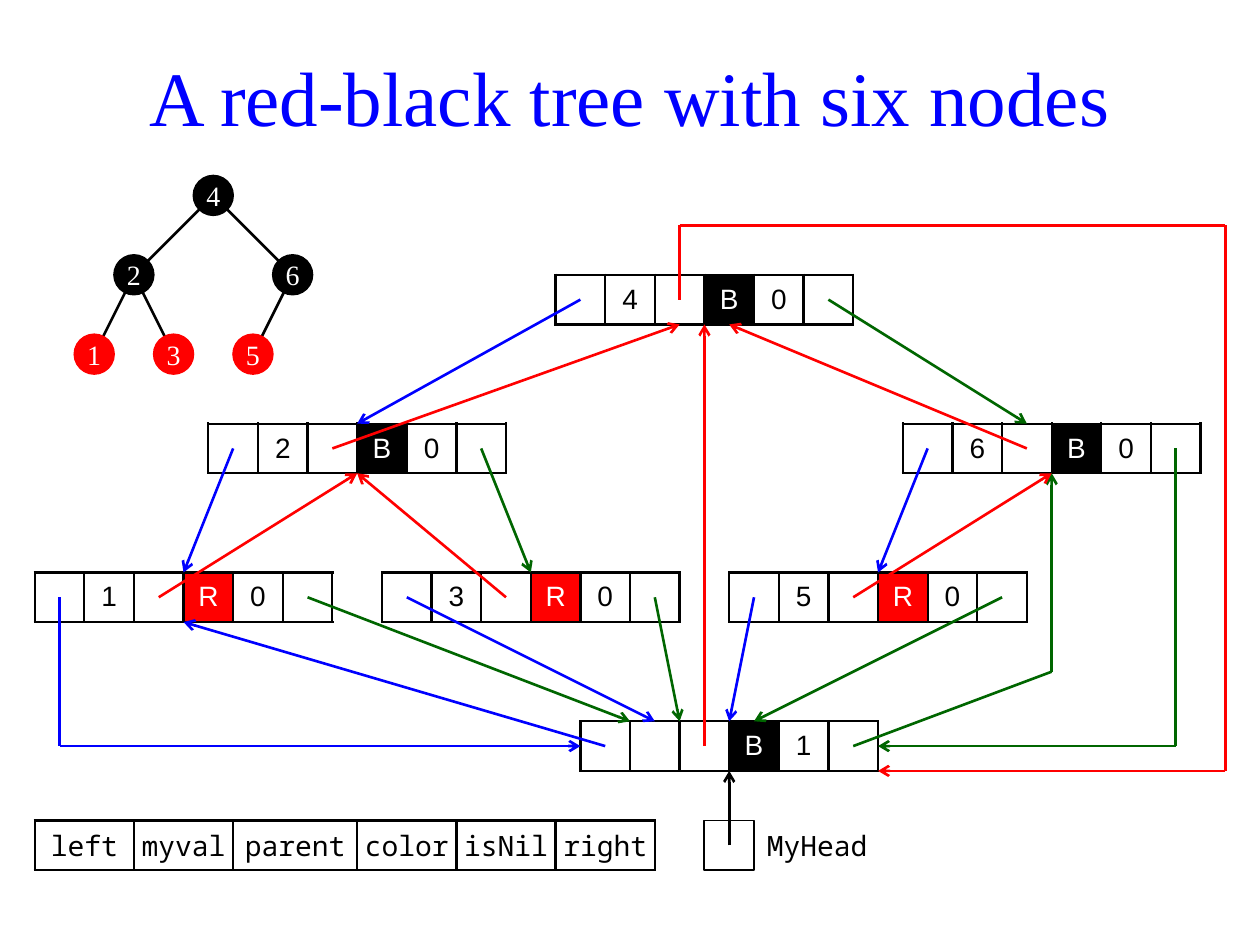
import dataclasses
import itertools

import pptx
import pptx.dml.color
import pptx.enum.shapes
import pptx.enum.text
import pptx.oxml
import pptx.oxml.ns
import pptx.util

SHAPE = pptx.enum.shapes.MSO_SHAPE
ALIGN = pptx.enum.text.PP_ALIGN
MIDDLE = pptx.enum.text.MSO_ANCHOR.MIDDLE


@dataclasses.dataclass(frozen=True)
class Theme:
    """Colours, fonts and sizes of the slide."""
    black: str = "000000"
    white: str = "FFFFFF"
    red: str = "FF0000"
    blue: str = "0000FF"
    green: str = "006600"
    serif: str = "Times New Roman"
    sans: str = "Arial"
    mono: str = "Noto Sans Mono"
    head: int = 44
    body: int = 16
    thick: float = 1.5
    thin: float = 1


T = Theme()
SCALE = 7200
CELL = 50
HALF = CELL // 2
STEP = 80
DISC = 40

NODES = {
    "4": (560, 277, ["", "4", "", "B", "0", ""]),
    "2": (210, 427, ["", "2", "", "B", "0", ""]),
    "6": (910, 427, ["", "6", "", "B", "0", ""]),
    "1": (35, 577, ["", "1", "", "R", "0", ""]),
    "3": (385, 577, ["", "3", "", "R", "0", ""]),
    "5": (735, 577, ["", "5", "", "R", "0", ""]),
    "nil": (585, 727, ["", "", "", "B", "1", ""]),
}

LEFT, PARENT, RIGHT = (1, 1), (5, 1), (11, 1)
LINKS = [
    (T.blue, "4", [LEFT], "2", (6, 0)),
    (T.blue, "2", [LEFT], "1", (6, 0)),
    (T.blue, "6", [LEFT], "5", (6, 0)),
    (T.blue, "1", [LEFT, (1, 7)], "nil", (0, 1)),
    (T.blue, "3", [LEFT], "nil", (3, 0)),
    (T.blue, "5", [LEFT], "nil", (6, 0)),
    (T.blue, "nil", [LEFT], "1", (6, 2)),
    (T.green, "4", [RIGHT], "6", (5, 0)),
    (T.green, "2", [RIGHT], "3", (6, 0)),
    (T.green, "6", [RIGHT, (11, 13)], "nil", (12, 1)),
    (T.green, "1", [RIGHT], "nil", (2, 0)),
    (T.green, "3", [RIGHT], "nil", (4, 0)),
    (T.green, "5", [RIGHT], "nil", (7, 0)),
    (T.green, "nil", [RIGHT, (19, -2)], "6", (6, 2)),
    (T.red, "4", [PARENT, (5, -2), (27, -2), (27, 20)], "nil", (12, 2)),
    (T.red, "2", [PARENT], "4", (5, 2)),
    (T.red, "6", [PARENT], "4", (7, 2)),
    (T.red, "1", [PARENT], "2", (6, 2)),
    (T.red, "3", [PARENT], "2", (6, 2)),
    (T.red, "5", [PARENT], "6", (6, 2)),
    (T.red, "nil", [PARENT], "4", (6, 2)),
]


def px(*vals):
    """Turn px lengths into EMU."""
    return [pptx.util.Emu(val * SCALE) for val in vals]


def rgb(code):
    """Turn a hex code into a colour."""
    return pptx.dml.color.RGBColor.from_string(code)


def write(frame, text, font=T.sans, size=T.body, color=T.black, align=ALIGN.CENTER):
    """Put formatted text in a frame and return its paragraph."""
    frame.word_wrap = True
    para = frame.paragraphs[0]
    para.alignment = align
    run = para.add_run()
    run.text = text
    run.font.name = font
    run.font.size = pptx.util.Pt(size)
    run.font.color.rgb = rgb(color)
    return para


def pad(host, left=0):
    """Centre a frame or cell vertically and set its margins."""
    host.vertical_anchor = MIDDLE
    host.margin_left = px(left)[0]
    host.margin_right = host.margin_top = host.margin_bottom = 0


def line(slide, start, end, color=T.black, arrow=False):
    """Draw a straight line, with an arrowhead if asked."""
    kind = pptx.enum.shapes.MSO_CONNECTOR.STRAIGHT
    link = slide.shapes.add_connector(kind, *px(*start, *end))
    link.line.color.rgb = rgb(color)
    link.line.width = pptx.util.Pt(T.thick)
    if arrow:
        tip = pptx.oxml.ns.qn("a:tailEnd")
        link.line._get_or_add_ln().append(
            link._element.makeelement(tip, {"type": "arrow"}))
    link._element.spPr.append(
        link._element.makeelement(pptx.oxml.ns.qn("a:effectLst"), {}))


def shape(slide, kind, box, fill, edge):
    """Draw a filled preset shape."""
    item = slide.shapes.add_shape(kind, *px(*box))
    item.shadow.inherit = False
    item.fill.solid()
    item.fill.fore_color.rgb = rgb(fill)
    item.line.color.rgb = rgb(edge)
    item.line.width = pptx.util.Pt(T.thin)
    return item


def edge(cell):
    """Give a cell four black borders."""
    props = cell._tc.get_or_add_tcPr()
    space = pptx.oxml.ns.nsdecls("a")
    width = int(pptx.util.Pt(T.thick))
    for side in "LRTB":
        props.append(pptx.oxml.parse_xml(
            f'<a:ln{side} {space} w="{width}"><a:solidFill>'
            f'<a:srgbClr val="{T.black}"/></a:solidFill></a:ln{side}>'))


def record(slide, left, top, texts, cols, font=T.sans):
    """Draw a one-row table of fields."""
    box = px(left, top, sum(cols), CELL)
    table = slide.shapes.add_table(1, len(cols), *box).table
    table.first_row = table.horz_banding = False
    fills = {"B": T.black, "R": T.red}
    for col, (text, wide) in enumerate(zip(texts, cols)):
        table.columns[col].width = px(wide)[0]
        cell = table.cell(0, col)
        pad(cell)
        edge(cell)
        if text in fills:
            cell.fill.solid()
            cell.fill.fore_color.rgb = rgb(fills[text])
        else:
            cell.fill.background()
        if text:
            color = T.white if text in fills else T.black
            write(cell.text_frame, text, font=font, color=color)


def spot(name, point):
    """Find a point given in half cells from a node's corner."""
    left, top, _ = NODES[name]
    return left + point[0] * HALF, top + point[1] * HALF


def title(slide, box, text):
    """Place the slide title."""
    item = slide.shapes.title
    item.left, item.top, item.width, item.height = px(*box)
    item.text_frame.vertical_anchor = MIDDLE
    para = write(item.text_frame, text, font=T.serif, size=T.head, color=T.blue)
    para.line_spacing = 0.9


def sketch(slide, left, top):
    """Draw the small tree of discs."""
    grid = {"4": (3, 0), "2": (1, 1), "6": (5, 1),
            "1": (0, 2), "3": (2, 2), "5": (4, 2)}
    mid = {}
    for key, (col, row) in grid.items():
        across = col * STEP // 2 if row == 2 else (col * STEP) // 2
        mid[key] = (left + DISC // 2 + across, top + DISC // 2 + row * STEP)
    for up, down in ("42", "46", "21", "23", "65"):
        line(slide, mid[up], mid[down])
    for key, (x, y) in mid.items():
        fill = T.red if grid[key][1] == 2 else T.black
        box = (x - DISC // 2, y - DISC // 2, DISC, DISC)
        disc = shape(slide, SHAPE.OVAL, box, fill, fill)
        pad(disc.text_frame)
        write(disc.text_frame, key, font=T.serif, color=T.white)


def graph(slide):
    """Draw the node records and the links between them."""
    for left, top, texts in NODES.values():
        record(slide, left, top, texts, [CELL] * len(texts))
    for color, name, points, goal, port in LINKS:
        stops = [spot(name, point) for point in points] + [spot(goal, port)]
        for start, end in itertools.pairwise(stops):
            line(slide, start, end, color, arrow=end == stops[-1])


def header(slide, left, top):
    """Draw the head pointer and its name."""
    shape(slide, SHAPE.RECTANGLE, (left, top, CELL, CELL), T.white, T.black)
    label = slide.shapes.add_textbox(*px(left + CELL, top, 3 * CELL, CELL))
    pad(label.text_frame, left=13)
    write(label.text_frame, "MyHead", font=T.mono, align=ALIGN.LEFT)
    line(slide, (left + HALF, top + HALF), spot("nil", (6, 2)), arrow=True)


def main():
    """Build and save the slide."""
    deck = pptx.Presentation()
    deck.slide_width = pptx.util.Inches(10)
    deck.slide_height = pptx.util.Inches(7.5)
    slide = deck.slides.add_slide(deck.slide_layouts[5])
    title(slide, (60, 27, 1150, 150), "A red-black tree with six nodes")
    graph(slide)
    sketch(slide, 75, 177)
    fields = ["left", "myval", "parent", "color", "isNil", "right"]
    record(slide, 35, 827, fields, [100, 100, 125, 100, 100, 100], font=T.mono)
    header(slide, 710, 827)
    deck.save("out.pptx")


if __name__ == "__main__":
    main()
